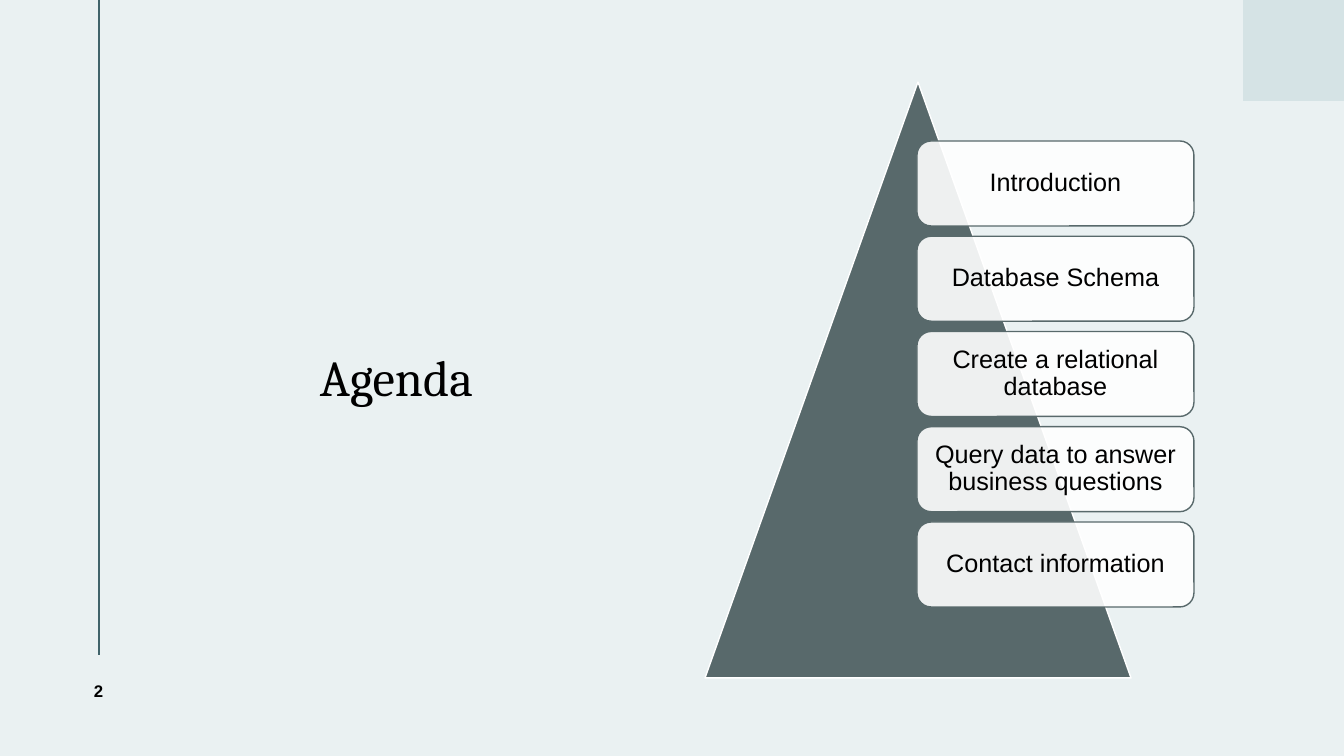
from pptx import Presentation
from pptx import util as u
from pptx.dml.color import RGBColor
from pptx.enum import shapes, text
from pptx.oxml.ns import qn
from lxml import etree

PX = 914400 / 100.8  # EMU in one px
PALE = RGBColor(0xEA, 0xF1, 0xF2)
MIST = RGBColor(0xD5, 0xE3, 0xE5)
TEAL = RGBColor(0x40, 0x63, 0x6A)
SLATE = RGBColor(0x58, 0x69, 0x6B)
WHITE = RGBColor(0xFF, 0xFF, 0xFF)
BLACK = RGBColor(0, 0, 0)

TOPICS = [
    "Introduction",
    "Database Schema",
    "Create a relational database",
    "Query data to answer business questions",
    "Contact information",
]


def emu(*px):
    return [u.Emu(round(n * PX)) for n in px]


def add_shape(slide, kind, box, fill, line=None):
    shape = slide.shapes.add_shape(kind, *emu(*box))
    shape.shadow.inherit = False
    shape.fill.solid()
    shape.fill.fore_color.rgb = fill
    if line is None:
        shape.line.fill.background()
    else:
        shape.line.color.rgb = line
        shape.line.width = u.Pt(1)
    return shape


def set_text(shape, words, size, face="Arial", pad=(10, 5, 10, 5),
             align=text.PP_ALIGN.CENTER, lead=0.9):
    frame = shape.text_frame
    frame.word_wrap = True
    frame.vertical_anchor = text.MSO_ANCHOR.MIDDLE
    (frame.margin_left, frame.margin_top,
     frame.margin_right, frame.margin_bottom) = emu(*pad)
    para = frame.paragraphs[0]
    para.text = words
    para.alignment = align
    para.line_spacing = lead
    para.font.size = u.Pt(size)
    para.font.name = face
    para.font.color.rgb = BLACK
    return para


def add_label(slide, box, words, size, **style):
    label = slide.shapes.add_textbox(*emu(*box))
    return set_text(label, words, size, **style)


def add_rule(slide, x, top, end):
    rule = slide.shapes.add_connector(
        shapes.MSO_CONNECTOR.STRAIGHT, *emu(x, top, x, end))
    rule.line.color.rgb = TEAL
    rule.line.width = u.Pt(1.5)
    etree.SubElement(rule._element.spPr, qn("a:effectLst"))


def add_card(slide, top, words):
    card = add_shape(slide, shapes.MSO_SHAPE.ROUNDED_RECTANGLE,
                     (917, top, 277, 85), WHITE, SLATE)
    # Let the pyramid show through slightly
    tint = card._element.spPr.find(qn("a:solidFill"))[0]
    etree.SubElement(tint, qn("a:alpha"), val="90000")
    set_text(card, words, 18, pad=(11, 11, 11, 11))


def main():
    deck = Presentation()
    deck.slide_width, deck.slide_height = emu(1344, 756)
    slide = deck.slides.add_slide(deck.slide_layouts[6])
    slide.background.fill.solid()
    slide.background.fill.fore_color.rgb = PALE

    # Side rule and corner block
    add_rule(slide, 99, 0, 655)
    add_shape(slide, shapes.MSO_SHAPE.RECTANGLE, (1243, 0, 101, 101), MIST)

    # Title
    add_label(slide, (320, 82, 351, 596), "Agenda", 36, face="Cambria",
              pad=(0, 5, 10, 5), align=text.PP_ALIGN.LEFT)

    # Pyramid with topic cards
    add_shape(slide, shapes.MSO_SHAPE.ISOSCELES_TRIANGLE,
              (705, 82, 426, 596), SLATE, WHITE)
    for i, topic in enumerate(TOPICS):
        add_card(slide, 141 + i * 381 / 4, topic)

    # Page number
    page = add_label(slide, (45, 655, 107, 72), "2", 12, lead=1.0)
    page.font.bold = True
    page.runs[0]._r.get_or_add_rPr().set("spc", "150")

    deck.save("out.pptx")


if __name__ == "__main__":
    main()
